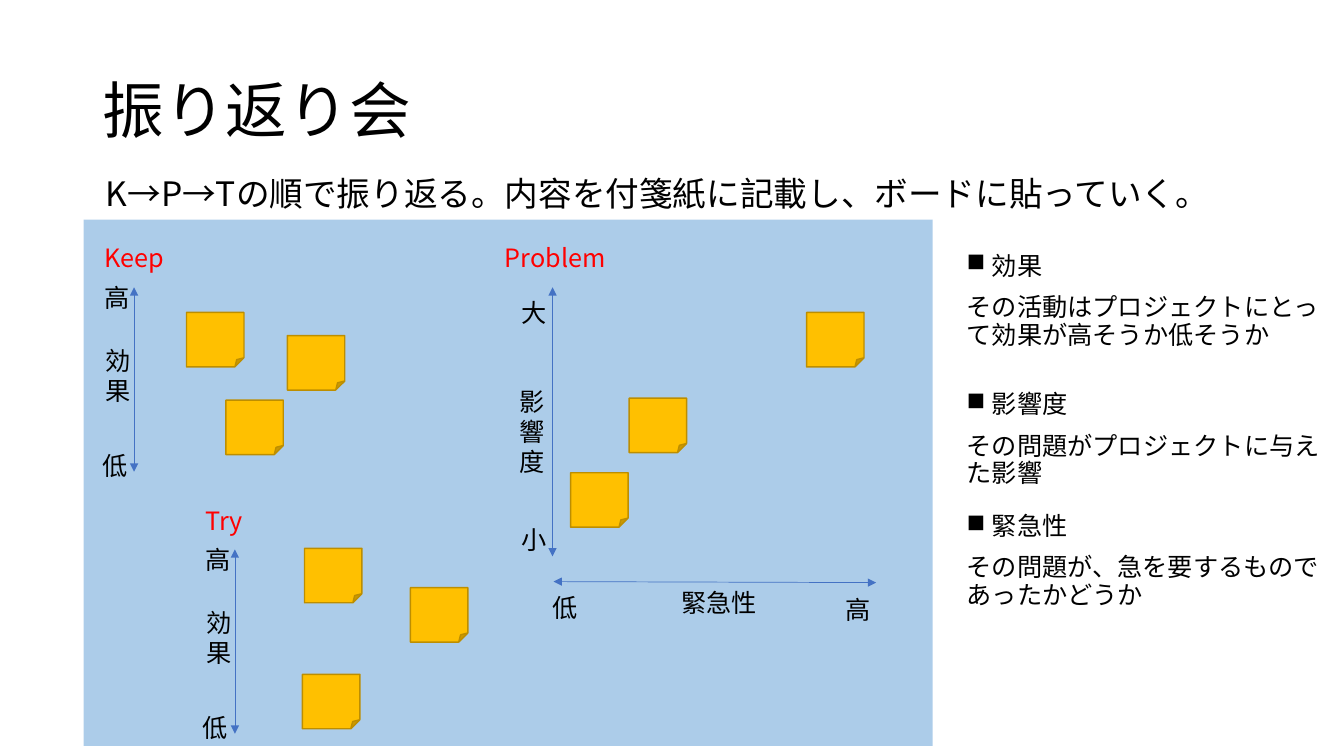
import pptx
import pptx.dml.color
import pptx.enum.dml
import pptx.enum.shapes
import pptx.enum.text
import pptx.oxml.ns
import pptx.util
from lxml import etree

SHAPES = pptx.enum.shapes.MSO_SHAPE
ANCHORS = pptx.enum.text.MSO_ANCHOR


def color(value):
    return pptx.dml.color.RGBColor.from_string(value)


def add_xml(parent, tag, **attributes):
    return etree.SubElement(parent, pptx.oxml.ns.qn(tag), attributes)


class Board:
    """Style and current slide; lengths are cells of a 0.1 inch grid."""
    font = "Noto Sans CJK JP"
    black, red, blue = "000000", "FF0000", "4472C4"
    board_fill, note_fill, note_line = "5B9BD5", "FFC000", "BD8E00"

    def __init__(self, page):
        self.page = page

    def cells(self, *counts):
        return [pptx.util.Inches(count / 10) for count in counts]

    def shape(self, kind, at, size, fill, line=None, alpha=None):
        shape = self.page.shapes.add_shape(kind, *self.cells(*at, *size))
        shape.shadow.inherit = False
        shape.fill.solid()
        shape.fill.fore_color.rgb = color(fill)
        if alpha:
            tint = shape.fill._xPr.find(".//" + pptx.oxml.ns.qn("a:srgbClr"))
            add_xml(tint, "a:alpha", val=str(alpha * 1000))
        if line:
            shape.line.color.rgb = color(line)
            shape.line.width = pptx.util.Pt(1)
        else:
            shape.line.fill.background()

    def note(self, column, row):
        self.shape(SHAPES.FOLDED_CORNER, (column, row), (5.7, 5.4),
                   self.note_fill, self.note_line)

    def text(self, words, at, size=(11.3, 4), points=18, ink=black,
             spacing=None, before=None, anchor=ANCHORS.TOP):
        box = self.page.shapes.add_textbox(*self.cells(*at, *size))
        frame = box.text_frame
        frame.word_wrap = True
        frame.vertical_anchor = anchor
        frame.text = words
        for para in frame.paragraphs:
            para.line_spacing = spacing
            if before:
                para.space_before = pptx.util.Pt(before)
            para.font.size = pptx.util.Pt(points)
            para.font.name = self.font
            para.font.color.rgb = color(ink)
            add_xml(para.font._element, "a:ea", typeface=self.font)
        return frame

    def definition(self, term, meaning, at):
        frame = self.text(term + "\n" + meaning, at, (38, 12),
                          spacing=0.9, before=10)
        properties = frame.paragraphs[0]._p.get_or_add_pPr()
        indent = pptx.util.Inches(0.25)
        properties.set("marL", str(indent))
        properties.set("indent", str(-indent))
        bullet = properties.makeelement(pptx.oxml.ns.qn("a:buChar"), {"char": "■"})
        properties.find(pptx.oxml.ns.qn("a:defRPr")).addprevious(bullet)

    def arrow(self, start, end):
        line = self.page.shapes.add_connector(
            pptx.enum.shapes.MSO_CONNECTOR.STRAIGHT, *self.cells(*start, *end))
        line.line.color.rgb = color(self.blue)
        line.line.width = pptx.util.Pt(0.5)
        outline = line.line._get_or_add_ln()
        for tip in ("a:headEnd", "a:tailEnd"):
            add_xml(outline, tip, type="triangle")
        add_xml(line._element.spPr, "a:effectLst")


deck = pptx.Presentation()
deck.slide_width = pptx.util.Inches(13.33)
deck.slide_height = pptx.util.Inches(7.5)
board = Board(deck.slides.add_slide(deck.slide_layouts[6]))

# Board, title and lead sentence
board.shape(SHAPES.RECTANGLE, (8.3, 21.8), (84.2, 52.2), board.board_fill, alpha=50)
board.text("振り返り会", (9.2, 4), (115, 14.5), points=44,
           spacing=0.9, anchor=ANCHORS.MIDDLE)
board.text("K→P→Tの順で振り返る。内容を付箋紙に記載し、ボードに貼っていく。",
           (9.5, 17.1), (118.1, 11.6), points=24, spacing=0.9, before=10)

# Keep and Try: the same effect scale at two places
for heading, column, row in (("Keep", 9.4, 23.6), ("Try", 19.4, 49.6)):
    board.text(heading, (column, row), ink=board.red)
    board.arrow((column + 3.9, row + 4.9), (column + 3.9, row + 23.2))
    board.text("高", (column, row + 3.95))
    board.text("効\n果", (column + 0.1, row + 10.15), (5.7, 7.1))
    board.text("低", (column - 0.25, row + 20.55))

# Problem: impact against urgency
board.text("Problem", (49.1, 23.6), (20, 4), ink=board.red)
board.arrow((54.8, 28.5), (54.8, 55.2))
board.arrow((86.9, 57.8), (54.9, 57.7))
board.text("影響度", (50.5, 37.8), (5.7, 10.1))
for label, column, row in (("大", 50.7, 29), ("小", 50.7, 51.5),
                           ("低", 53.8, 58.3), ("緊急性", 66.6, 57.8),
                           ("高", 82.9, 58.5)):
    board.text(label, (column, row), (12.9, 4))

# Sticky notes
for place in ((18.5, 31), (22.4, 39.7), (28.5, 33.3),
              (30.2, 54.4), (30, 66.9), (40.7, 58.3),
              (62.4, 39.5), (56.6, 46.9), (80, 31)):
    board.note(*place)

# Definitions beside the board
for term, meaning, row in (
        ("効果", "その活動はプロジェクトにとって効果が高そうか低そうか", 24.7),
        ("影響度", "その問題がプロジェクトに与えた影響", 38.4),
        ("緊急性", "その問題が、急を要するものであったかどうか", 50.5)):
    board.definition(term, meaning, (94.9, row))

deck.save("out.pptx")
